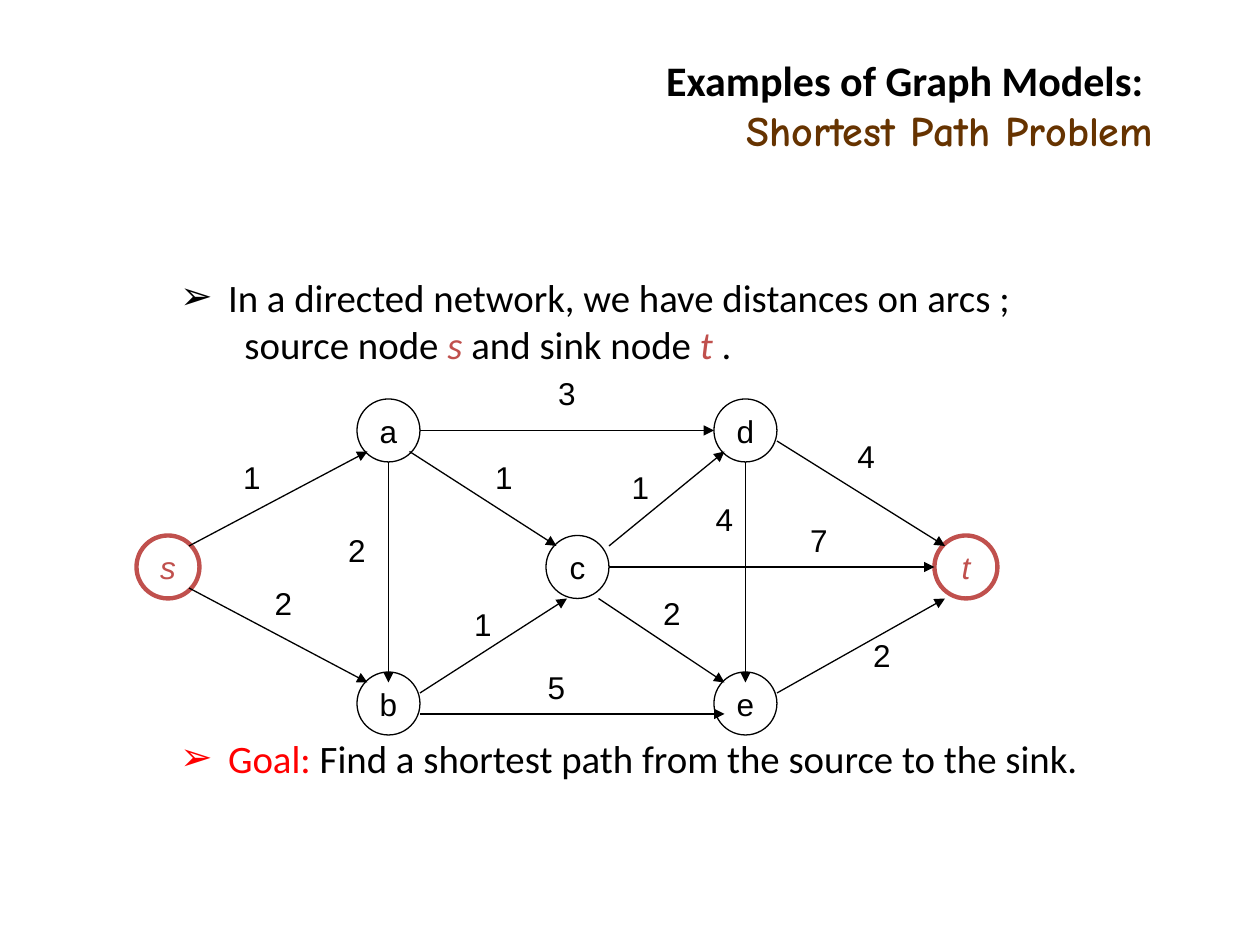
from lxml.etree import SubElement
from pptx import Presentation
from pptx.dml.color import RGBColor
from pptx.enum.shapes import MSO_CONNECTOR, MSO_SHAPE
from pptx.enum.text import MSO_ANCHOR, MSO_AUTO_SIZE, PP_ALIGN
from pptx.oxml.ns import qn
from pptx.util import Inches, Pt

BLACK = RGBColor(0x00, 0x00, 0x00)
WHITE = RGBColor(0xFF, 0xFF, 0xFF)
BROWN = RGBColor(0x66, 0x33, 0x00)
ROSE = RGBColor(0xC0, 0x50, 0x4D)
RED = RGBColor(0xFF, 0x00, 0x00)

# Content: text as (wording, format) runs
HEADING = {"name": "Calibri", "size": Pt(24), "bold": True}
PLAIN = {"name": "Calibri", "size": Pt(22.2), "color": BLACK}
ENDPOINT = PLAIN | {"color": ROSE, "italic": True}
LABEL = {"name": "Arial", "size": Pt(18), "color": BLACK}

TITLE = [
    ("Examples of Graph Models: ", HEADING | {"color": BLACK}),
    ("Shortest Path Problem", HEADING | {"name": "Comic Neue", "color": BROWN}),
]
# (bullet colour, left margin in inches, space before in points, runs)
STATEMENTS = [
    (BLACK, 0.38, 0, [("In a directed network, we have distances on arcs ;", PLAIN)]),
    (None, 0.51, 6, [("source node ", PLAIN), ("s", ENDPOINT),
                     (" and sink node ", PLAIN), ("t", ENDPOINT), (" .", PLAIN)]),
    # the network is drawn in the gap above the goal
    (RED, 0.38, 215, [("Goal:", PLAIN | {"color": RED}),
                      (" Find a shortest path from the source to the sink.", PLAIN)]),
]

# Network on a grid of twelfths of an inch: node centres
NODES = {"s": (16, 54), "b": (37, 67), "a": (37, 41), "d": (71, 41),
         "e": (71, 67), "t": (92, 54), "c": (55, 54)}
TERMINALS = "st"
NODE_SIZE = 6
# (from, offset, to, offset, distance, corner of its label)
ARCS = [
    ("s", (2, -2), "a", (-2, 2), 1, (21, 43)),
    ("s", (2, 2), "b", (-2, -2), 2, (24, 55)),
    ("a", (3, 0), "d", (-3, 0), 3, (51, 35)),
    ("d", (3, 1), "t", (-2, -2), 4, (79.5, 41)),
    ("a", (2, 2), "c", (-2, -2), 1, (45, 43)),
    ("c", (3, -2), "d", (-2, 2), 1, (58, 44)),
    ("c", (2, 3), "e", (-2, -2), 2, (61, 56)),
    ("b", (3, -1), "c", (-1, 3), 1, (43, 57)),
    ("e", (3, -1), "t", (-2, 3), 2, (81, 60)),
    ("b", (3, 1), "e", (-2, 1), 5, (50, 63)),
    ("a", (0, 3), "b", (0, -2), 2, (31, 50)),
    ("d", (0, 3), "e", (0, -2), 4, (66, 47)),
    ("c", (3, 0), "t", (-3, 0), 7, (75, 49)),
]


def grid(*units):
    return [Inches(unit / 12) for unit in units]


def add_run(paragraph, wording, style):
    run = paragraph.add_run()
    run.text = wording
    for key, value in style.items():
        if key == "color":
            run.font.color.rgb = value
        else:
            setattr(run.font, key, value)


def place(shape, left, top, width, height):
    shape.left, shape.top = Inches(left), Inches(top)
    shape.width, shape.height = Inches(width), Inches(height)


def set_bullet(paragraph, margin, color):
    props = paragraph._p.get_or_add_pPr()
    props.set("marL", str(Inches(margin)))
    props.set("indent", str(-Inches(margin) if color else 0))
    if color is None:
        SubElement(props, qn("a:buNone"))
        return
    SubElement(SubElement(props, qn("a:buClr")), qn("a:srgbClr"), val=str(color))
    SubElement(props, qn("a:buFont"), typeface="Arial")
    SubElement(props, qn("a:buChar"), char="➢")


def add_node(shapes, name, x, y):
    half = NODE_SIZE / 2
    node = shapes.add_shape(MSO_SHAPE.OVAL,
                            *grid(x - half, y - half, NODE_SIZE, NODE_SIZE))
    terminal = name in TERMINALS
    color = ROSE if terminal else BLACK
    node.shadow.inherit = False
    node.fill.solid()
    node.fill.fore_color.rgb = WHITE
    node.line.color.rgb = color
    node.line.width = Pt(2.5 if terminal else 0.75)
    frame = node.text_frame
    frame.word_wrap = False
    frame.vertical_anchor = MSO_ANCHOR.MIDDLE
    frame.paragraphs[0].alignment = PP_ALIGN.CENTER
    add_run(frame.paragraphs[0], name, LABEL | {"color": color, "italic": terminal})


def add_arc(shapes, start, start_offset, end, end_offset):
    (x1, y1), (x2, y2) = NODES[start], NODES[end]
    arc = shapes.add_connector(
        MSO_CONNECTOR.STRAIGHT,
        *grid(x1 + start_offset[0], y1 + start_offset[1],
              x2 + end_offset[0], y2 + end_offset[1]))
    arc.line.color.rgb = BLACK
    arc.line.width = Pt(0.75)
    SubElement(arc.line._get_or_add_ln(), qn("a:tailEnd"), type="triangle")
    SubElement(arc._element.spPr, qn("a:effectLst"))


def add_distance(shapes, distance, corner):
    box = shapes.add_textbox(*grid(*corner, NODE_SIZE), Inches(0.4))
    frame = box.text_frame
    frame.word_wrap = True
    frame.paragraphs[0].alignment = PP_ALIGN.CENTER
    add_run(frame.paragraphs[0], str(distance), LABEL)


def main():
    prs = Presentation()
    prs.slide_width, prs.slide_height = Inches(10), Inches(7.5)
    slide = prs.slides.add_slide(prs.slide_layouts[1])
    shapes = slide.shapes

    # Title
    title = shapes.title
    place(title, 1.95, 0.23, 7.3, 1.2)
    title.text_frame.auto_size = MSO_AUTO_SIZE.NONE
    title.text_frame.vertical_anchor = MSO_ANCHOR.MIDDLE
    heading = title.text_frame.paragraphs[0]
    heading.alignment = PP_ALIGN.RIGHT
    for index, (wording, style) in enumerate(TITLE):
        if index:
            heading.add_line_break()
        add_run(heading, wording, style)

    # Problem statement and goal
    body = slide.placeholders[1]
    place(body, 1.33, 2.19, 7.97, 4.45)
    frame = body.text_frame
    frame.auto_size = MSO_AUTO_SIZE.NONE
    for index, (bullet, margin, gap, runs) in enumerate(STATEMENTS):
        paragraph = frame.add_paragraph() if index else frame.paragraphs[0]
        set_bullet(paragraph, margin, bullet)
        paragraph.line_spacing = 0.8
        paragraph.space_before = Pt(gap)
        for wording, style in runs:
            add_run(paragraph, wording, style)

    # Network: nodes, then arcs, then distances
    for name, (x, y) in NODES.items():
        add_node(shapes, name, x, y)
    for *ends, _, _ in ARCS:
        add_arc(shapes, *ends)
    for *_, distance, corner in ARCS:
        add_distance(shapes, distance, corner)

    prs.save("out.pptx")


if __name__ == "__main__":
    main()
